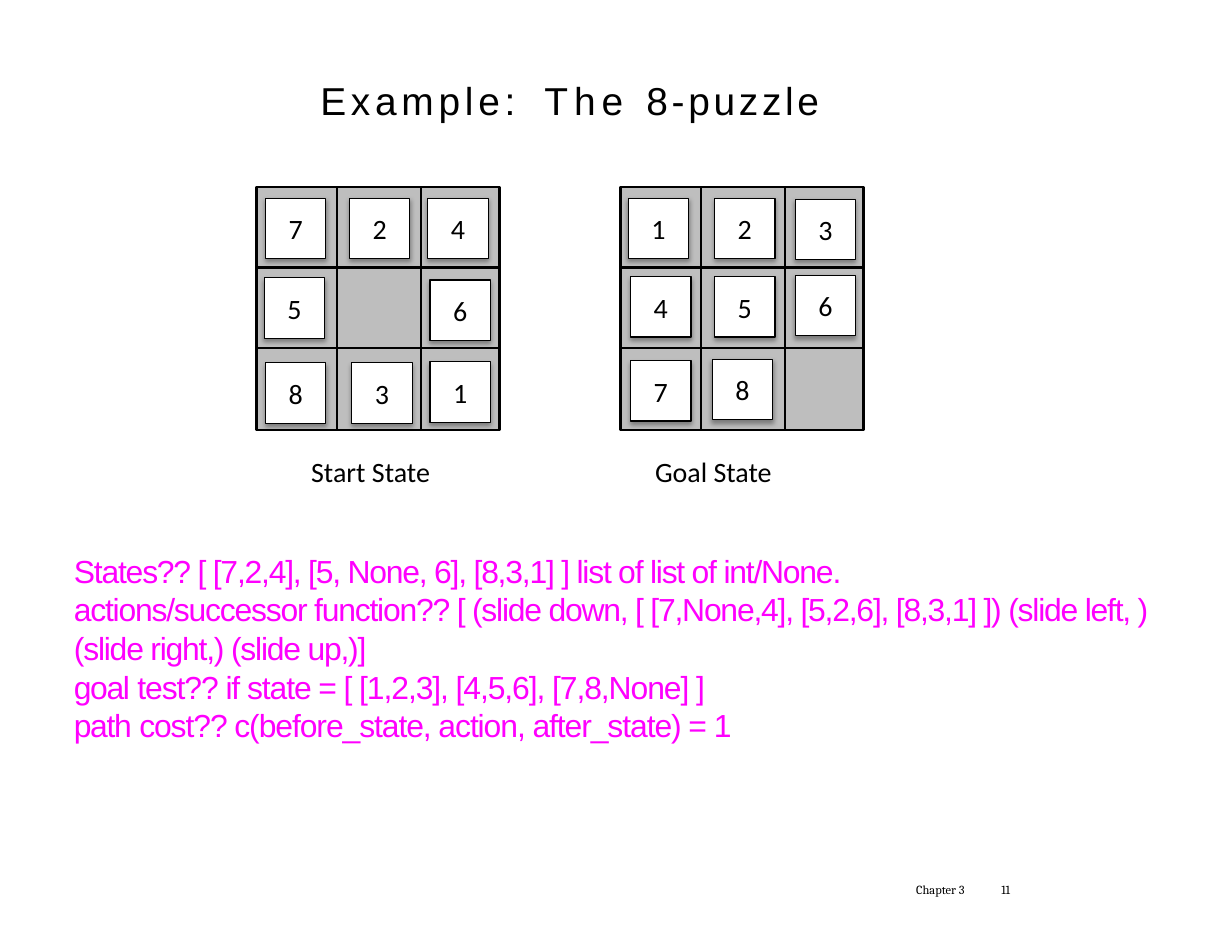
from dataclasses import dataclass
from lxml.etree import SubElement
from pptx import Presentation
from pptx.dml.color import RGBColor as RGB
from pptx.enum.shapes import MSO_CONNECTOR as Link, MSO_SHAPE as Shape
from pptx.enum.text import MSO_ANCHOR as Anchor, MSO_AUTO_SIZE as Fit, PP_ALIGN as Align
from pptx.oxml.ns import qn
from pptx.util import Inches, Pt


@dataclass(frozen=True)
class Theme:
    ink: RGB = RGB(0, 0, 0)
    paper: RGB = RGB(255, 255, 255)
    tray: RGB = RGB(0xBE, 0xBE, 0xBE)
    accent: RGB = RGB(255, 0, 255)
    sans: str = "Arial"
    label: str = "Calibri"
    serif: str = "Cambria"
    title: float = 25
    body: float = 20.5
    mark: float = 18
    foot: float = 8
    rule: float = 1.53
    edge: float = 0.75


SIDE = 2.17
TILE = 0.54
COLS = (0.72, 1.47)
ROWS = (0.72, 1.44)

# Each tile: digit, offset from the board's left, offset from its top.
START = [("7", 0.08, 0.1), ("2", 0.83, 0.1), ("4", 1.53, 0.1),
         ("5", 0.07, 0.81), ("6", 1.55, 0.83),
         ("8", 0.08, 1.57), ("3", 0.85, 1.57), ("1", 1.55, 1.56)]
GOAL = [("1", 0.07, 0.1), ("2", 0.84, 0.1), ("3", 1.56, 0.11),
        ("4", 0.09, 0.8), ("5", 0.84, 0.8), ("6", 1.56, 0.79),
        ("7", 0.09, 1.55), ("8", 0.82, 1.54)]

TITLE = [[("Example:\t", 3.1), ("The ", 3.9), ("8-puzzle", 2.4)]]
BODY = [
    [("States?? [ [7,2,4], [5, None, 6], [8,3,1] ] list of list of int/None.", -0.8)],
    [("actions/successor function?? [ (slide down, [ [7,None,4], [5,2,6], [8,3,1] ]) "
      "(slide left, ) (slide right,) (slide up,)]", -0.8)],
    [("goal ", -0.9), ("test?? if state = [ [1,2,3], [4,5,6], [7,8,None] ]", -0.7)],
    [("path ", -0.9), ("cost?? c(before_state, action, after_state) = 1", -0.7)],
]


def write(frame, text, *, font, size, color, align=Align.LEFT, anchor=Anchor.TOP,
          pad=(0, 0), wrap=True, lead=None):
    """Fill a frame with a string, or with paragraphs of (words, spacing) runs."""
    frame.word_wrap, frame.auto_size = wrap, Fit.NONE
    frame.vertical_anchor = anchor
    frame.margin_left = frame.margin_right = Inches(pad[0])
    frame.margin_top = frame.margin_bottom = Inches(pad[1])
    paras = [[(text, 0)]] if isinstance(text, str) else text
    for i, runs in enumerate(paras):
        para = frame.add_paragraph() if i else frame.paragraphs[0]
        para.alignment, para.line_spacing = align, lead
        para.space_before = para.space_after = Pt(0)
        for words, gap in runs:
            run = para.add_run()
            run.text = words
            run.font.name, run.font.size = font, Pt(size)
            run.font.color.rgb = color
            if gap:
                run.font._element.set("spc", str(round(gap * 100)))


def shade(shape):
    """Give a shape a soft shadow straight below it."""
    fx = SubElement(shape._element.spPr, qn("a:effectLst"))
    drop = SubElement(fx, qn("a:outerShdw"), blurRad=str(Pt(3.1)), dist=str(Pt(1.8)),
                      dir="5400000", rotWithShape="0")
    tint = SubElement(drop, qn("a:srgbClr"), val="000000")
    SubElement(tint, qn("a:alpha"), val="35000")


class Deck:
    def __init__(self, theme):
        self.theme = theme
        self.show = Presentation()
        self.show.slide_width, self.show.slide_height = Inches(11), Inches(8.5)
        self.slide = self.show.slides.add_slide(self.show.slide_layouts[1])

    def holder(self, index, box, text, **style):
        """Move a template placeholder, fill it and drop its bullets."""
        shape = self.slide.placeholders[index]
        shape.left, shape.top, shape.width, shape.height = map(Inches, box)
        write(shape.text_frame, text, font=self.theme.sans, **style)
        for para in shape.text_frame.paragraphs:
            props = para._p.get_or_add_pPr()
            props.set("marL", str(Inches(2.18) if index == 0 else 0))
            props.set("indent", "0")
            SubElement(props, qn("a:buNone"))

    def text(self, box, words, **style):
        shape = self.slide.shapes.add_textbox(*map(Inches, box))
        write(shape.text_frame, words, color=self.theme.ink, wrap=False, **style)

    def rect(self, box, fill, width):
        shape = self.slide.shapes.add_shape(Shape.RECTANGLE, *map(Inches, box))
        shape.fill.solid()
        shape.fill.fore_color.rgb = fill
        shape.line.color.rgb = self.theme.ink
        shape.line.width = Pt(width)
        return shape

    def line(self, *ends):
        link = self.slide.shapes.add_connector(Link.STRAIGHT, *map(Inches, ends))
        link.line.color.rgb = self.theme.ink
        link.line.width = Pt(self.theme.rule)
        SubElement(link._element.spPr, qn("a:effectLst"))

    def tile(self, digit, x, y):
        look = self.theme
        shape = self.rect((x, y, TILE, TILE), look.paper, look.edge)
        shade(shape)
        write(shape.text_frame, digit, font=look.label, size=look.mark, color=look.ink,
              align=Align.CENTER, anchor=Anchor.MIDDLE, pad=(0.1, 0.05))

    def board(self, x, y, tiles):
        look = self.theme
        tray = self.rect((x, y, SIDE, SIDE), look.tray, look.rule)
        tray.shadow.inherit = False
        for dx in COLS:
            self.line(x + dx, y, x + dx, y + SIDE)
        for dy in ROWS:
            self.line(x, y + dy, x + SIDE, y + dy)
        for digit, dx, dy in tiles:
            self.tile(digit, x + dx, y + dy)


def main():
    look = Theme()
    deck = Deck(look)
    deck.holder(0, (0.68, 0.76, 8.44, 0.5), TITLE, size=look.title, color=look.ink,
                lead=Pt(24.3))
    for x, tiles in ((2.29, START), (5.54, GOAL)):
        deck.board(x, 1.67, tiles)
    for x, name in ((2.68, "Start State"), (5.75, "Goal State")):
        deck.text((x, 4.01, 1.25, 0.4), name, font=look.label, size=look.mark,
                  pad=(0.1, 0.05))
    deck.holder(1, (0.66, 4.92, 9.74, 2.41), BODY, size=look.body, color=look.accent,
                lead=1.01)
    for x, width, words in ((8.18, 0.54, "Chapter 3"), (8.94, 0.17, "11")):
        deck.text((x, 7.89, width, 0.2), words, font=look.serif, size=look.foot,
                  lead=Pt(8.8))
    deck.show.save("out.pptx")


if __name__ == "__main__":
    main()
